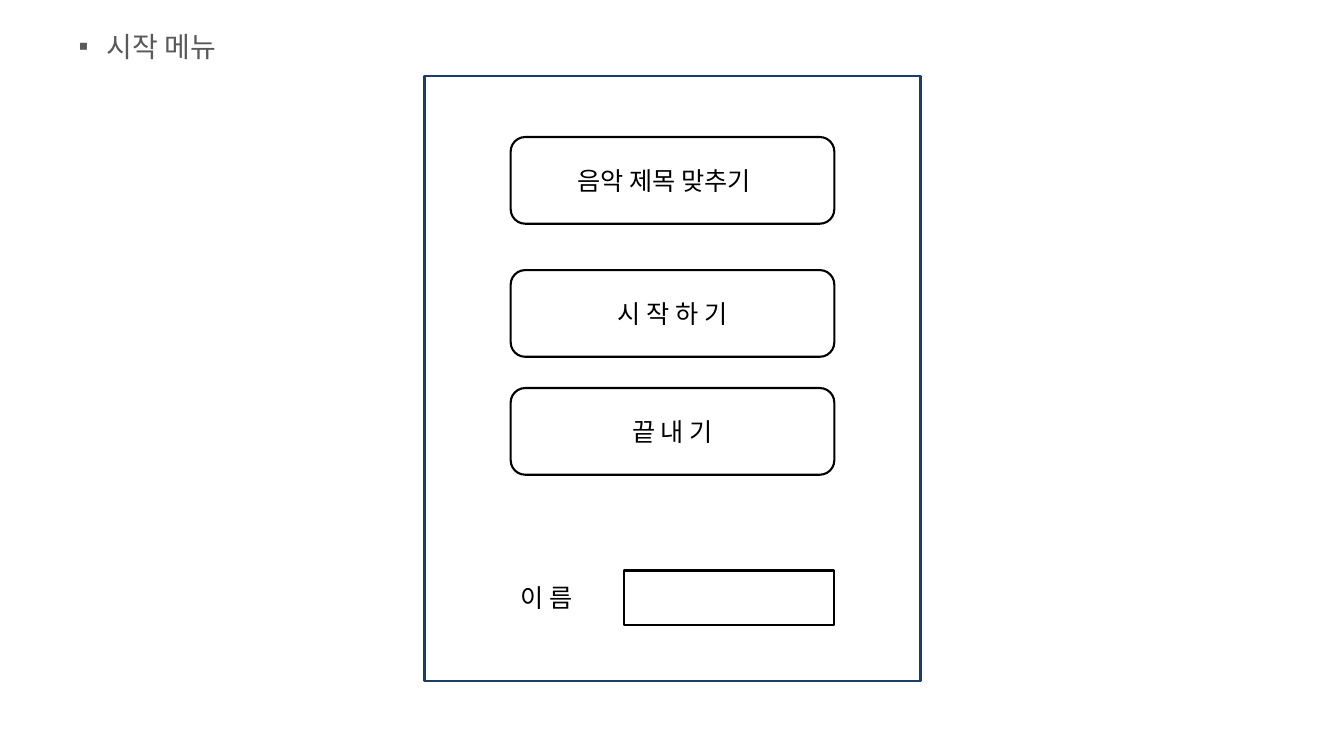
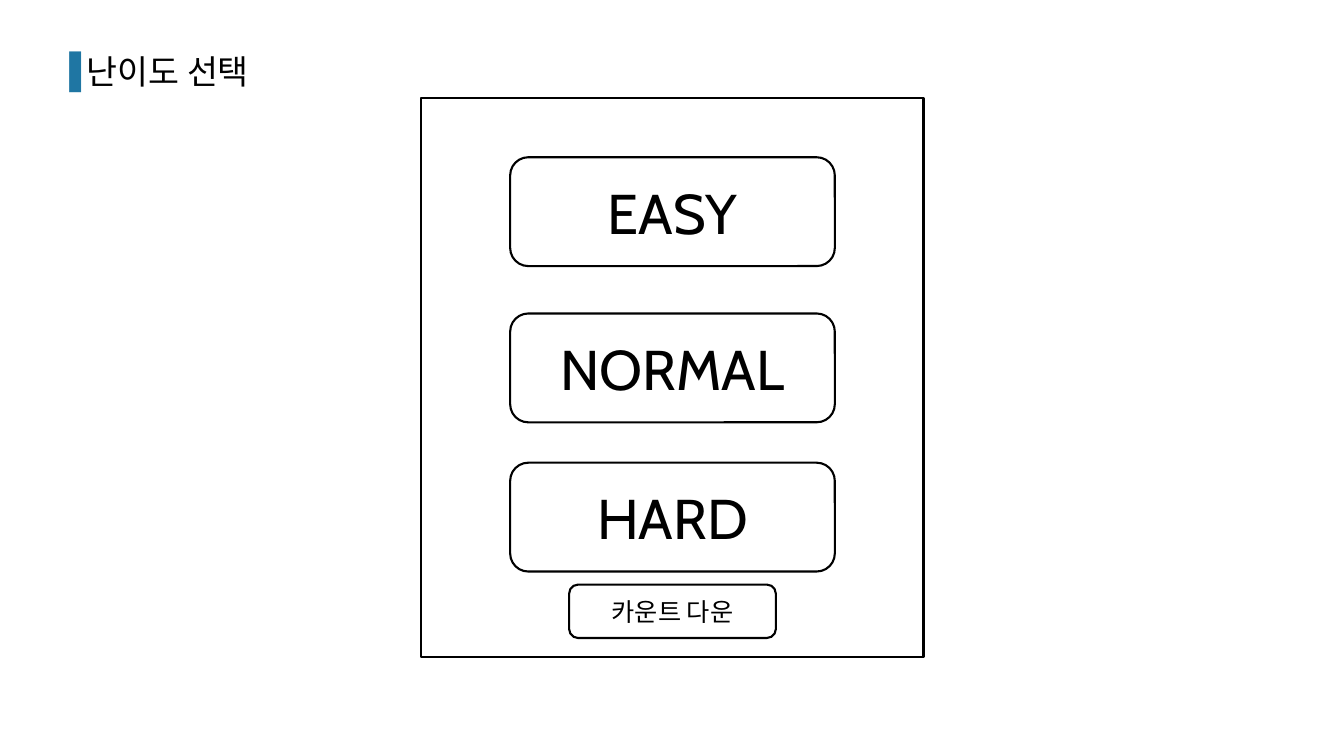
from dataclasses import dataclass
from typing import NamedTuple

from lxml.etree import SubElement
from pptx import Presentation
from pptx.dml.color import RGBColor
from pptx.enum.shapes import MSO_SHAPE as Preset
from pptx.enum.text import MSO_ANCHOR as Anchor, MSO_AUTO_SIZE as AutoSize, PP_ALIGN as Align
from pptx.oxml.ns import qn
from pptx.util import Inches, Pt


@dataclass(frozen=True)
class Theme:
    font: str = "Cabin"
    ink: str = "000000"
    paper: str = "FFFFFF"
    navy: str = "193E6A"
    muted: str = "595959"
    accent: str = "1F76A3"
    label_size: int = 18
    item_size: int = 20
    heading_size: int = 24
    level_size: int = 40
    line_width: float = 1.5


class Box(NamedTuple):
    left: float
    top: float
    width: float
    height: float

    def inches(self):
        return [Inches(value) for value in self]

    def centred(self, offset, width, height):
        return Box(self.left + (self.width - width) / 2, self.top + offset, width, height)


THEME = Theme()
SLIDE = Box(0, 0, 13.33, 7.5)

BLUE_OUTLINE = [
    (13.33, 0.23), (13.25, 0.29), (13.1, 0.37), (12.96, 0.44), (12.77, 0.51),
    (12.55, 0.6), (12.28, 0.68), (11.97, 0.76), (11.61, 0.84), (11.3, 0.89),
    (10.97, 0.94), (10.6, 0.98), (10.2, 1.02), (9.77, 1.05), (9.3, 1.07),
    (8.8, 1.08), (8.26, 1.07), (8.6, 1.09), (9.12, 1.09), (9.63, 1.09),
    (10.2, 1.06), (10.61, 1.03), (11.03, 1), (11.45, 0.94), (11.76, 0.89),
    (12.07, 0.83), (12.37, 0.76), (12.66, 0.68), (12.93, 0.58), (13.18, 0.48),
    (13.33, 0.4),
]
GREY_OUTLINE = [
    (7.83, 1.01), (8.18, 1.03), (8.71, 1.04), (9.24, 1.03), (9.63, 1.01),
    (10.04, 0.97), (10.47, 0.93), (10.91, 0.85), (11.35, 0.76), (11.67, 0.68),
    (11.99, 0.58), (12.3, 0.46), (12.59, 0.33), (12.86, 0.17), (13.12, 0),
    (12.8, 0), (12.67, 0.08), (12.53, 0.17), (12.36, 0.26), (12.17, 0.34),
    (11.95, 0.43), (11.72, 0.52), (11.45, 0.6), (11.16, 0.69), (10.85, 0.76),
    (10.51, 0.83), (10.14, 0.89), (9.74, 0.94), (9.31, 0.98), (8.85, 1),
    (8.36, 1.01),
]
BLUE_STOPS = [(0, "D5EBF7", 42), (19, "2B9DD7", 70), (50, "80C4E7", 29),
              (72, "80C4E7", 0), (89, "AAD8EF", 0), (100, "D5EBF7", 0)]
GREY_STOPS = [(0, "F2F2F2", 0), (19, "D9D9D9", 100), (50, "D9D9D9", 46),
              (72, "D9D9D9", 45), (89, "BFBFBF", 12), (100, "80C4E7", 0)]


def apply_format(target, values):
    for name, value in values.items():
        setattr(target, name, value)


def add_gradient(shape, stops):
    shape.fill.gradient()
    shape.fill.gradient_angle = 180
    stop_list = shape.element.spPr.find(qn("a:gradFill")).find(qn("a:gsLst"))
    stop_list.clear()
    for position, color, opacity in stops:
        stop = SubElement(stop_list, qn("a:gs"), pos=str(position * 1000))
        tint = SubElement(stop, qn("a:srgbClr"), val=color)
        SubElement(tint, qn("a:alpha"), val=str(opacity * 1000))


def add_swooshes(page, layout):
    ribbons = [(BLUE_OUTLINE, BLUE_STOPS), (GREY_OUTLINE, GREY_STOPS)]
    for index, (outline, stops) in enumerate(ribbons):
        builder = page.shapes.build_freeform(*outline[0], scale=Inches(1))
        builder.add_line_segments(outline[1:], close=True)
        ribbon = builder.convert_to_shape()
        ribbon.shadow.inherit = False
        ribbon.line.fill.background()
        add_gradient(ribbon, stops)
        layout.shapes.element.insert(2 + index, ribbon.element)


def write(frame, text, size, color=THEME.ink, align=Align.LEFT):
    para = frame.paragraphs[0]
    para.alignment = align
    span = para.add_run()
    span.text = text
    apply_format(span.font, {"name": THEME.font, "size": Pt(size)})
    span.font.color.rgb = RGBColor.from_string(color)
    return para


def add_heading(page, box, text, size, color, bullet, bullet_color, margin, hanging, level=0):
    page.shapes.title.element.getparent().remove(page.shapes.title.element)
    body = page.placeholders[1]
    apply_format(body, dict(zip(("left", "top", "width", "height"), box.inches())))
    apply_format(body.text_frame, {"auto_size": AutoSize.NONE, "vertical_anchor": Anchor.TOP})
    para = write(body.text_frame, text, size, color)
    para.level = level
    props = para._p.get_or_add_pPr()
    props.set("marL", str(Inches(margin)))
    props.set("indent", str(-Inches(hanging)))
    SubElement(SubElement(props, qn("a:buClr")), qn("a:srgbClr"), val=bullet_color)
    SubElement(props, qn("a:buChar"), char=bullet)


def add_frame(page, box, preset=Preset.RECTANGLE, line=THEME.ink):
    shape = page.shapes.add_shape(preset, *box.inches())
    shape.shadow.inherit = False
    shape.fill.solid()
    shape.fill.fore_color.rgb = RGBColor.from_string(THEME.paper)
    shape.line.color.rgb = RGBColor.from_string(line)
    shape.line.width = Pt(THEME.line_width)
    return shape


def add_button(page, box, text, size=THEME.label_size, right_inset=0.1):
    button = add_frame(page, box, Preset.FLOWCHART_ALTERNATE_PROCESS)
    apply_format(button.text_frame, {
        "word_wrap": True,
        "vertical_anchor": Anchor.MIDDLE,
        "margin_right": Inches(right_inset),
    })
    write(button.text_frame, text, size, align=Align.CENTER)


def add_name_field(page, box):
    label = page.shapes.add_textbox(*box._replace(width=0.84).inches())
    apply_format(label.text_frame, {"word_wrap": True, "vertical_anchor": Anchor.MIDDLE})
    write(label.text_frame, "이 름", THEME.label_size)
    add_frame(page, box._replace(left=box.left + 1.12, width=box.width - 1.12))


def add_start_menu(page, panel):
    add_heading(page, Box(0.47, 0.24, 12.36, 6.62), "시작 메뉴", THEME.item_size,
                THEME.muted, "▪", THEME.muted, 0.49, 0.28, level=1)
    add_frame(page, panel, line=THEME.navy)
    buttons = [("음악 제목 맞추기", 0.61, 0.26), ("시 작 하 기", 1.93, 0.1), ("끝 내 기", 3.1, 0.1)]
    for text, offset, inset in buttons:
        add_button(page, panel.centred(offset, 3.21, 0.86), text, right_inset=inset)
    add_name_field(page, panel.centred(4.91, 3.21, 0.54))


def add_level_menu(page, panel):
    add_heading(page, Box(0.47, 0.45, 12.36, 6.41), "난이도 선택", THEME.heading_size,
                THEME.ink, "▐", THEME.accent, 0.29, 0.29)
    add_frame(page, panel)
    for text, offset in [("EASY", 0.59), ("NORMAL", 2.14), ("HARD", 3.62)]:
        add_button(page, panel.centred(offset, 3.22, 1.08), text, THEME.level_size)
    add_button(page, panel.centred(4.83, 2.05, 0.53), "카운트 다운")


def main():
    deck = Presentation()
    apply_format(deck, {"slide_width": Inches(SLIDE.width), "slide_height": Inches(SLIDE.height)})
    layout = deck.slide_layouts[1]
    start_page, level_page = [deck.slides.add_slide(layout) for _ in range(2)]
    add_swooshes(start_page, layout)
    add_start_menu(start_page, Box(4.21, 0.75, 4.92, 6.01))
    add_level_menu(level_page, Box(4.18, 0.97, 4.98, 5.55))
    deck.save("out.pptx")


if __name__ == "__main__":
    main()
